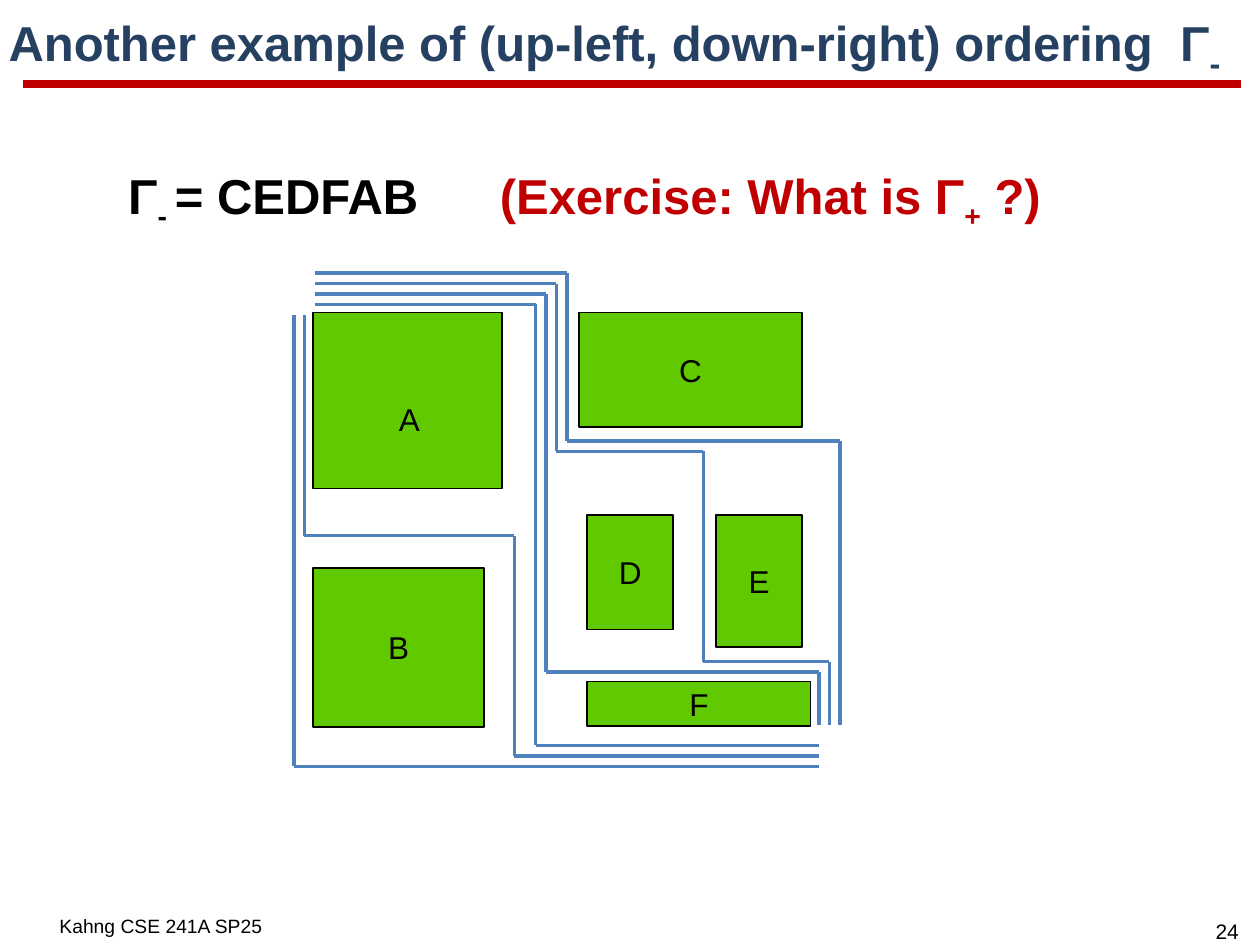
from itertools import pairwise

from lxml.etree import SubElement
from pptx import Presentation
from pptx.dml.color import RGBColor
from pptx.enum.shapes import MSO_CONNECTOR, MSO_SHAPE
from pptx.enum.text import MSO_ANCHOR, MSO_AUTO_SIZE, PP_ALIGN
from pptx.oxml.ns import qn
from pptx.util import Cm, Pt

NAVY, RED, BLACK = "254061", "C00000", "000000"
GREEN, BLUE = "60C900", "4F81BD"
STEP = 2.54 / 12  # routing grid pitch in cm

# name: left, top, width, height in cm
BLOCKS = {
    "A": (6.31, 6.3, 3.81, 3.55),
    "B": (6.31, 11.45, 3.45, 3.2),
    "C": (11.67, 6.3, 4.5, 2.31),
    "D": (11.84, 10.38, 1.73, 2.31),
    "E": (14.44, 10.38, 1.73, 2.67),
    "F": (11.84, 13.74, 4.5, 0.89),
}

# corners of each staircase, in grid steps
ROUTES = [
    [(30, 26), (54, 26), (54, 42), (80, 42), (80, 69)],
    [(30, 27), (53, 27), (53, 43), (67, 43), (67, 63), (79, 63), (79, 69)],
    [(30, 28), (52, 28), (52, 64), (78, 64), (78, 69)],
    [(30, 29), (51, 29), (51, 71), (78, 71)],
    [(29, 30), (29, 51), (49, 51), (49, 72), (78, 72)],
    [(28, 30), (28, 73), (78, 73)],
]


def rgb(code):
    return RGBColor.from_string(code)


def write(para, text, size=18, color=BLACK, bold=False, sub=False, gap=0):
    """Add a run; gap is extra letter spacing in points."""
    run = para.add_run()
    run.text = text
    font = run.font
    font.name, font.size, font.bold = "Arial", Pt(size), bold
    font.color.rgb = rgb(color)
    props = run._r.get_or_add_rPr()
    if sub:
        props.set("baseline", "-25000")
    if gap:
        props.set("spc", str(round(gap * 100)))


class Board:
    """Current slide and the style of its elements."""

    def __init__(self, slide, font_size=18, edge=1, wire=2):
        self.slide = slide
        self.size, self.edge, self.wire = font_size, edge, wire

    def holder(self, shape, box, anchor, runs):
        """Place a template placeholder and fill it with one unbulleted line."""
        shape.left, shape.top, shape.width, shape.height = map(Cm, box)
        frame = shape.text_frame
        frame.auto_size = MSO_AUTO_SIZE.NONE
        frame.word_wrap = True
        frame.vertical_anchor = anchor
        para = frame.paragraphs[0]
        props = para._p.get_or_add_pPr()
        props.set("marL", "0")
        props.set("indent", "0")
        SubElement(props, qn("a:buNone"))
        para.alignment = PP_ALIGN.LEFT
        para.line_spacing = 0.8
        para.space_before = Pt(0)
        for text, style in runs:
            write(para, text, bold=True, **{"size": 28, **style})

    def label(self, text, box, size=None, align=PP_ALIGN.LEFT, wrap=True, pad=None):
        frame = self.slide.shapes.add_textbox(*map(Cm, box)).text_frame
        frame.word_wrap = wrap
        if pad:
            frame.margin_left = frame.margin_right = Cm(pad[0])
            frame.margin_top = frame.margin_bottom = Cm(pad[1])
        para = frame.paragraphs[0]
        para.alignment = align
        write(para, text, size=size or self.size)

    def block(self, box, name=""):
        shape = self.slide.shapes.add_shape(MSO_SHAPE.RECTANGLE, *map(Cm, box))
        shape.shadow.inherit = False
        shape.fill.solid()
        shape.fill.fore_color.rgb = rgb(GREEN)
        shape.line.color.rgb = rgb(BLACK)
        shape.line.width = Pt(self.edge)
        if name:
            frame = shape.text_frame
            frame.word_wrap = False
            frame.vertical_anchor = MSO_ANCHOR.MIDDLE
            para = frame.paragraphs[0]
            para.alignment = PP_ALIGN.CENTER
            write(para, name, size=self.size)

    def line(self, start, end, color=BLUE, width=None):
        link = self.slide.shapes.add_connector(
            MSO_CONNECTOR.STRAIGHT, *map(Cm, (*start, *end)))
        link.line.color.rgb = rgb(color)
        link.line.width = Pt(width or self.wire)
        SubElement(link._element.spPr, qn("a:effectLst"))

    def route(self, points):
        spots = [(x * STEP, y * STEP) for x, y in points]
        for start, end in pairwise(spots):
            self.line(start, end)


def main():
    deck = Presentation()
    deck.slide_width, deck.slide_height = Cm(25.4), Cm(19.05)
    slide = deck.slides.add_slide(deck.slide_layouts[1])
    board = Board(slide)

    board.line((0.46, 1.7), (25.02, 1.7), RED, 4.5)
    board.label("24", (24.12, 18.39, 1.24, 0.76), 12, PP_ALIGN.CENTER)
    board.holder(
        slide.shapes.title, (-0.08, 0.15, 25.4, 1.47), MSO_ANCHOR.BOTTOM, [
            ("Another example of (up-left, down-right) ordering", dict(color=NAVY)),
            (" ", dict(color=NAVY, gap=7.8)),
            ("Γ", dict(color=NAVY)),
            ("-", dict(size=32, color=NAVY, sub=True)),
        ])
    board.holder(
        slide.placeholders[1], (2.33, 3.33, 20.02, 1.63), MSO_ANCHOR.TOP, [
            ("Γ", {}),
            ("- ", dict(sub=True)),
            ("= CEDFAB", {}),
            (" ", dict(gap=38.9)),
            ("(Exercise: What is Γ", dict(color=RED)),
            ("+", dict(color=RED, sub=True)),
            (" ?)", dict(color=RED)),
        ])

    for name, box in BLOCKS.items():
        board.block(box, "" if name == "A" else name)
    board.label("A", (7.86, 7.98, 0.81, 0.91), wrap=False, pad=(0.18, 0.08))
    for points in ROUTES:
        board.route(points)
    board.label("Kahng CSE 241A SP25", (0.95, 18.31, 4.75, 0.69), 11)

    deck.save("out.pptx")


if __name__ == "__main__":
    main()
